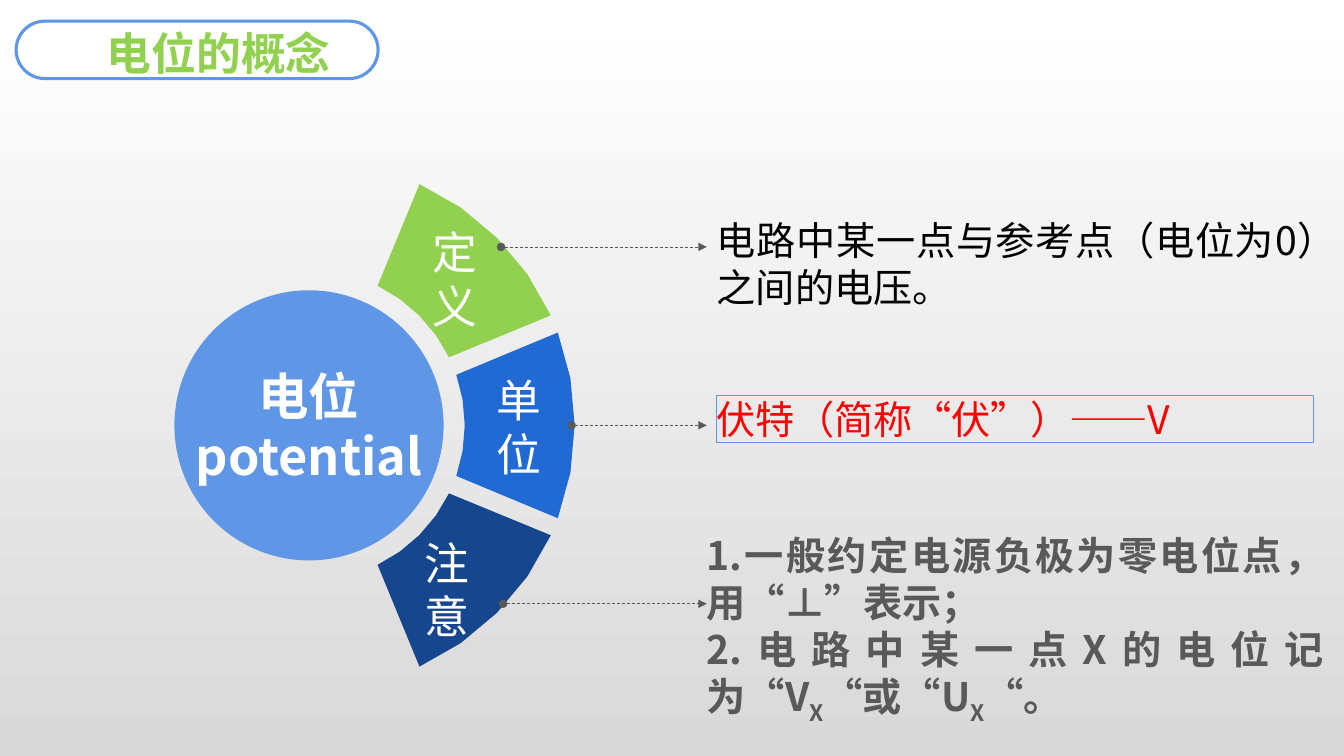
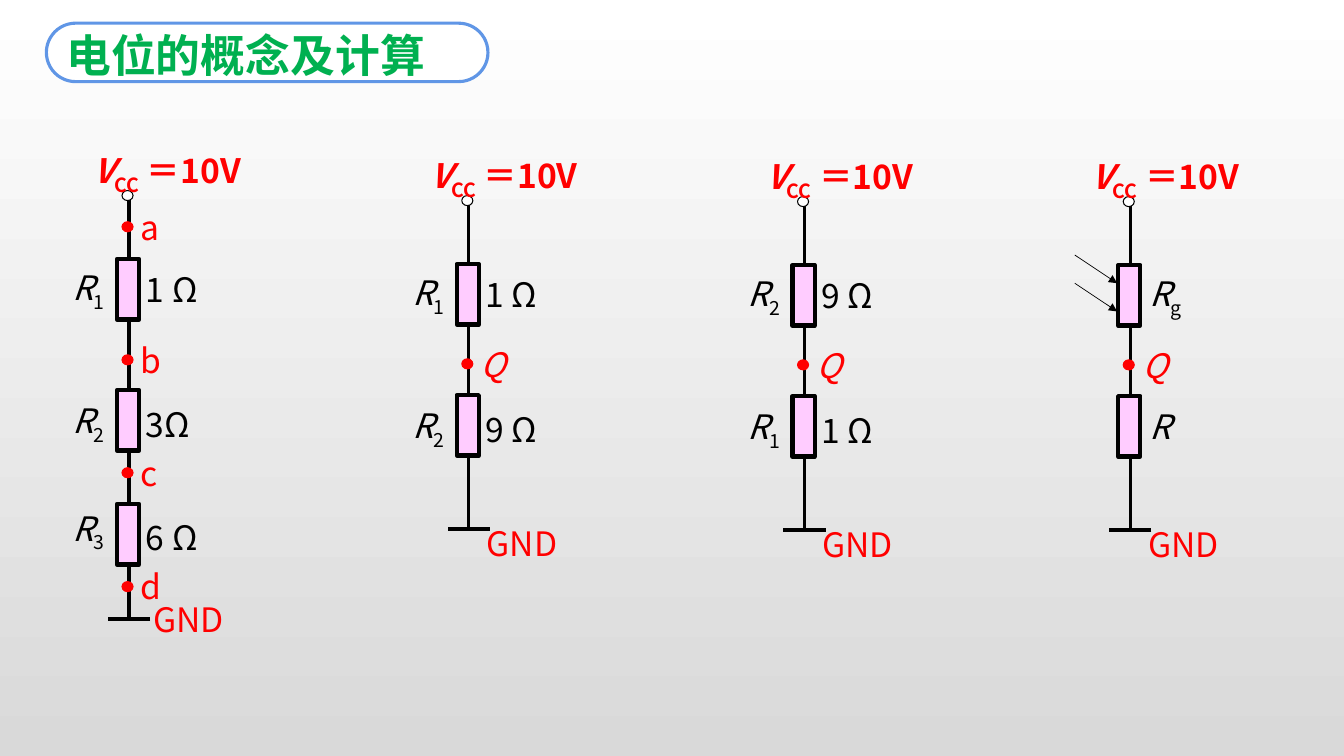
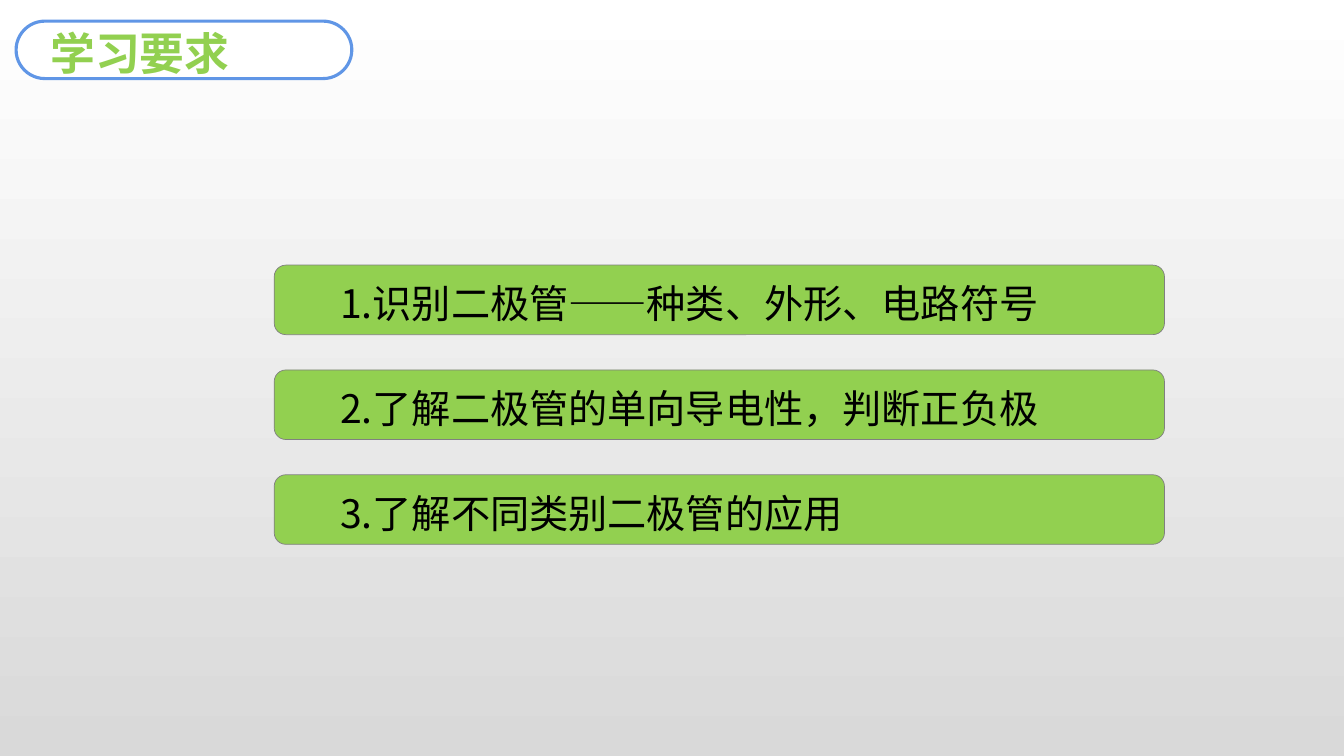
from math import cos, radians, sin

from lxml.etree import SubElement
from pptx import Presentation
from pptx.dml.color import RGBColor
from pptx.enum.dml import MSO_LINE
from pptx.enum.shapes import MSO_CONNECTOR, MSO_SHAPE
from pptx.enum.text import MSO_ANCHOR, MSO_AUTO_SIZE, PP_ALIGN
from pptx.oxml.ns import qn
from pptx.shapes.connector import Connector
from pptx.util import Inches, Pt

FONT = "Noto Sans CJK SC"
COLORS = {
    "white": "FFFFFF", "black": "000000", "red": "FF0000",
    "mist": "D9D9D9", "gray": "808080", "slate": "595959",
    "lime": "92D050", "green": "00B050", "pink": "FFCCFF",
    "sky": "6096E6", "blue": "2169D3", "navy": "16468D",
}
RGB = {name: RGBColor.from_string(value) for name, value in COLORS.items()}
NO_INSET = dict.fromkeys(("margin_left", "margin_top", "margin_right", "margin_bottom"), 0)
GROW = {"word_wrap": True, "auto_size": MSO_AUTO_SIZE.SHAPE_TO_FIT_TEXT}
ONE_LINE = {**GROW, "word_wrap": False}
ITALIC = {"italic": True}
SUB = {"baseline": "-25000"}


def paint(part, fill=None, line=None, width=0.75, dash=None, **ends):
    """Style a shape or connector; ends maps headEnd or tailEnd to an arrow type."""
    if line:
        part.line.color.rgb = RGB[line]
        part.line.width = Pt(width)
    else:
        part.line.fill.background()
    if dash:
        part.line.dash_style = dash
    for end, kind in ends.items():
        SubElement(part._element.spPr.find(qn("a:ln")), qn(f"a:{end}"), type=kind)
    if isinstance(part, Connector):
        SubElement(part._element.spPr, qn("a:effectLst"))
        return part
    part.shadow.inherit = False
    if fill:
        part.fill.solid()
        part.fill.fore_color.rgb = RGB[fill]
    else:
        part.fill.background()
    return part


def write(shape, paragraphs, size, color, align=PP_ALIGN.LEFT, bold=False, **frame_format):
    """Fill a shape with paragraphs, each a string or a list of (text, run format)."""
    frame = shape.text_frame
    for name, value in frame_format.items():
        setattr(frame, name, value)
    for index, runs in enumerate(paragraphs):
        paragraph = frame.add_paragraph() if index else frame.paragraphs[0]
        paragraph.alignment = align
        for text, run_format in [(runs, {})] if isinstance(runs, str) else runs:
            run = paragraph.add_run()
            run.text = text
            run.font.color.rgb = RGB[color]
            properties = run._r.get_or_add_rPr()
            for name, value in {"name": FONT, "size": Pt(size), "bold": bold, **run_format}.items():
                if name == "baseline":
                    properties.set(name, value)
                else:
                    setattr(run.font, name, value)
            SubElement(properties, qn("a:ea"), typeface=FONT)


prs = Presentation()
prs.slide_width, prs.slide_height = Inches(13.33), Inches(7.5)
backdrop = prs.slide_master.background.fill
backdrop.gradient()
backdrop.gradient_angle = 270
for stop, shade in zip(backdrop.gradient_stops, ("white", "mist")):
    stop.color.rgb = RGB[shade]

# Titles: text, colour, pill box, text box
titles = [
    ("电位的概念", "lime", (0.16, 0.21, 3.59, 0.57), (0.96, 0.21, 2.46, 0.64)),
    ("电位的概念及计算", "green", (0.46, 0.23, 4.38, 0.58), (0.56, 0.23, 4.5, 0.64)),
    ("学习要求", "lime", (0.16, 0.21, 3.33, 0.57), (0.4, 0.21, 3.09, 0.64)),
]
pages = []
for title, color, pill_box, title_box in titles:
    shapes = prs.slides.add_slide(prs.slide_layouts[6]).shapes
    pill = shapes.add_shape(MSO_SHAPE.ROUNDED_RECTANGLE, *map(Inches, pill_box))
    pill.adjustments[0] = 0.5
    paint(pill, "white", "sky", 2.25)
    write(shapes.add_textbox(*map(Inches, title_box)), [title], 32, color, bold=True, **GROW)
    pages.append(shapes)
concept, circuits, goals = pages

# Concept: hub, ring of wedges and explanations
HUB_X, HUB_Y = 3.07, 4.22
INNER, OUTER = (1.54, 19), (2.63, 20.5)  # radius, half angle
STEPS = 4
wedges = [
    ("定义", "lime", -45, (4.09, 2.23), (4.97, 2.45)),
    ("单位", "blue", 0, (4.72, 3.7), (5.67, 4.22)),
    ("注意", "navy", 45, (4.01, 5.31), (4.99, 5.99)),
]
for name, color, middle, name_at, arrow_from in wedges:
    outline = []
    for (radius, half), direction in ((OUTER, 1), (INNER, -1)):
        for step in range(STEPS + 1):
            angle = radians(middle + direction * half * (2 * step / STEPS - 1))
            outline.append((Inches(HUB_X + radius * cos(angle)), Inches(HUB_Y + radius * sin(angle))))
    builder = concept.build_freeform(*outline[0])
    builder.add_line_segments(outline[1:], close=True)
    paint(builder.convert_to_shape(), color)
    write(concept.add_textbox(*map(Inches, (*name_at, 0.85, 1.08))), [name], 32, "white",
          PP_ALIGN.CENTER, **GROW, **NO_INSET)
    arrow = concept.add_connector(MSO_CONNECTOR.STRAIGHT, *map(Inches, (*arrow_from, 7.01, arrow_from[1])))
    paint(arrow, line="slate", width=0.5, dash=MSO_LINE.DASH, headEnd="oval", tailEnd="triangle")

hub = concept.add_shape(MSO_SHAPE.OVAL, *map(Inches, (1.73, 2.88, 2.67, 2.68)))
write(paint(hub, "sky"), ["电位", "potential"], 36, "white", PP_ALIGN.CENTER, True,
      word_wrap=False, vertical_anchor=MSO_ANCHOR.MIDDLE, **NO_INSET)

definition = concept.add_textbox(*map(Inches, (7.11, 2.15, 6.15, 0.94)))
unit = concept.add_shape(MSO_SHAPE.RECTANGLE, *map(Inches, (7.11, 3.92, 5.92, 0.47)))
paint(unit, line="sky")
notes = concept.add_textbox(*map(Inches, (7.01, 5.27, 6.12, 1.88)))
explanations = [
    (definition, ["电路中某一点与参考点（电位为0）之间的电压。"], "black", False),
    (unit, ["伏特（简称“伏”）——V"], "red", False),
    (notes, ["1.一般约定电源负极为零电位点，用“⊥”表示；",
             [("2.电路中某一点X的电位记为“V", {}), ("X", SUB), ("“或“U", {}), ("X", SUB), ("“。", {})]],
     "slate", True),
]
for box, paragraphs, color, bold in explanations:
    write(box, paragraphs, 28, color, PP_ALIGN.JUSTIFY, bold, **GROW, **NO_INSET)

# Circuits: heights are measured down from each supply terminal
STAGES = [(0.63, 0.66, 0.68), (1.93, 1.98, 2.02), (3.06, 3.05, 3.14)]  # resistor, name, value
MIDPOINT = [("Q", 1.62, ITALIC)]
# wire x, terminal y, ground, supply label offset, GND label offset,
# resistors (name, index, value), nodes
ladders = [
    (1.28, 1.94, 4.2, -0.45, (0.14, -0.25),
     [("R", "1", "1 Ω"), ("R", "2", "3Ω"), ("R", "3", "6 Ω")],
     [("a", 0.31, {}), ("b", 1.63, {}), ("c", 2.75, {}), ("d", 3.88, {})]),
    (4.65, 1.99, 3.26, -0.48, (0.08, -0.11), [("R", "1", "1 Ω"), ("R", "2", "9 Ω")], MIDPOINT),
    (7.98, 2, 3.26, -0.48, (0.08, -0.11), [("R", "2", "9 Ω"), ("R", "1", "1 Ω")], MIDPOINT),
    (11.21, 2, 3.26, -0.48, (0.08, -0.11), [("R", "g", ""), ("R", "", "")], MIDPOINT),
]
for wire_x, supply_y, ground, supply_dx, (gnd_dx, gnd_dy), resistors, nodes in ladders:
    ground_y = supply_y + ground
    wire = (wire_x, ground_y - 0.1, wire_x, supply_y)
    stem = (wire_x, ground_y - 0.2, wire_x, ground_y - 0.02)
    ground_bar = (wire_x + 0.21, ground_y, wire_x - 0.21, ground_y)
    for ends, width in ((wire, 2.25), (stem, 2.25), (ground_bar, 3)):
        paint(circuits.add_connector(MSO_CONNECTOR.STRAIGHT, *map(Inches, ends)), line="black", width=width)

    # Labels: x, y, width, runs, colour
    labels = [(wire_x + gnd_dx, ground_y + gnd_dy, 0.97, "GND", "red")]
    for (name, index, value), (top, name_y, value_y) in zip(resistors, STAGES):
        body = circuits.add_shape(MSO_SHAPE.RECTANGLE, *map(Inches, (wire_x - 0.12, supply_y + top, 0.22, 0.6)))
        paint(body, "pink", "black", 3)
        symbol = [(name, ITALIC)] + ([(index, SUB)] if index else [])
        name_x = wire_x + (-0.66 if value else 0.09)
        labels.append((name_x, supply_y + name_y, 0.54 if index else 0.42, symbol, "black"))
        if value:
            labels.append((wire_x + 0.07, supply_y + value_y, 0.77 if " " in value else 0.67, value, "black"))

    dots = [(0, "white", "black")]
    for name, depth, style in nodes:
        dots.append((depth, "red", "red"))
        labels.append((wire_x + 0.02, supply_y + depth - 0.25, 0.47 if style else 0.4, [(name, style)], "red"))
    for depth, fill, line in dots:
        dot = circuits.add_shape(MSO_SHAPE.OVAL, *map(Inches, (wire_x - 0.07, supply_y + depth - 0.05, 0.11, 0.1)))
        paint(dot, fill, line)
    for x, y, width, runs, color in labels:
        write(circuits.add_textbox(*map(Inches, (x, y, width, 0.5))), [runs], 24, color, **ONE_LINE)
    supply = circuits.add_textbox(*map(Inches, (wire_x + supply_dx, supply_y - 0.5, 2.08, 0.5)))
    write(supply, [[("V", ITALIC), ("CC", SUB), (" ＝10V", {})]], 24, "red", bold=True, **GROW)

for light_y in (2.53, 2.81):
    ray = circuits.add_connector(MSO_CONNECTOR.STRAIGHT, *map(Inches, (10.66, light_y, 11.08, light_y + 0.28)))
    paint(ray, line="black", width=0.5, tailEnd="triangle")

# Goals: evenly spaced bars
requirements = ["1.识别二极管——种类、外形、电路符号", "2.了解二极管的单向导电性，判断正负极", "3.了解不同类别二极管的应用"]
bar_format = {**NO_INSET, "margin_left": Inches(0.62), "margin_top": Inches(0.06),
              "word_wrap": True, "vertical_anchor": MSO_ANCHOR.MIDDLE}
for row, requirement in enumerate(requirements):
    bar = goals.add_shape(MSO_SHAPE.ROUNDED_RECTANGLE, *map(Inches, (2.72, 2.63 + 1.04 * row, 8.83, 0.69)))
    write(paint(bar, "lime", "gray", 0.5), [requirement], 28, "black", **bar_format)

prs.save("out.pptx")
